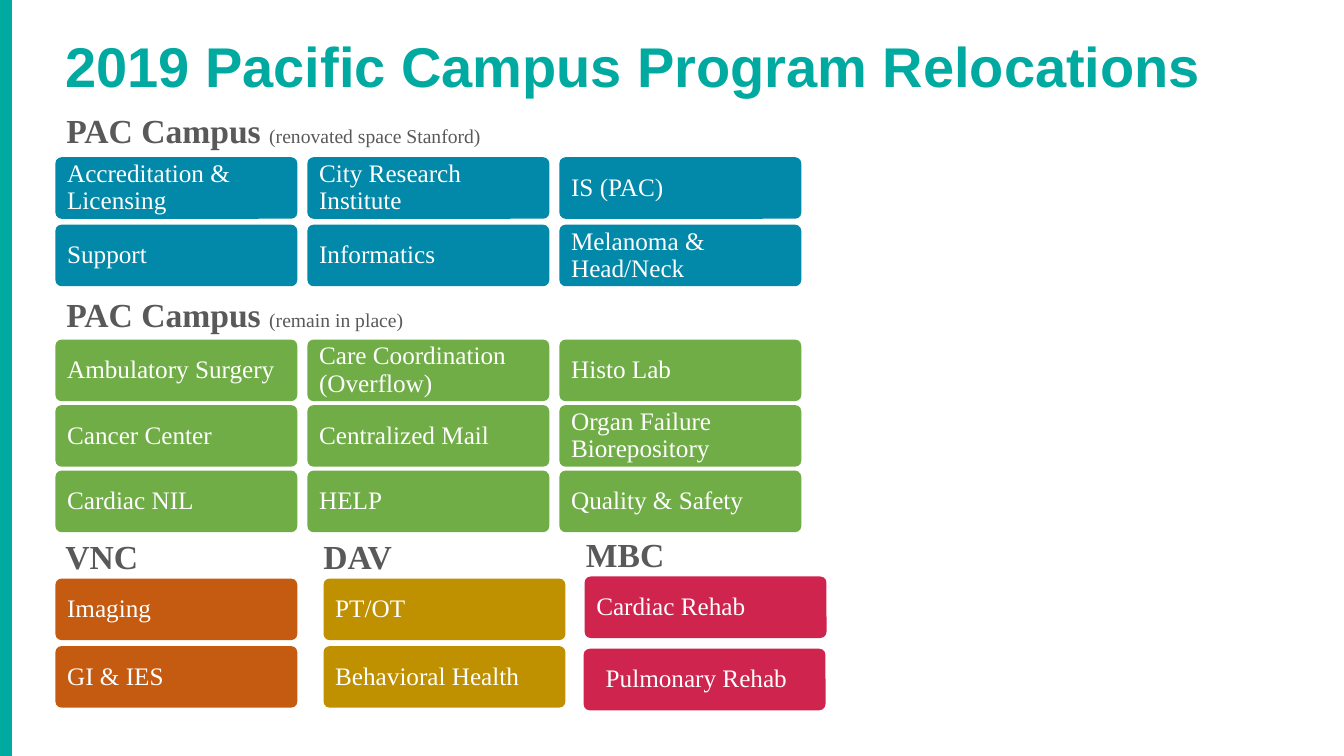
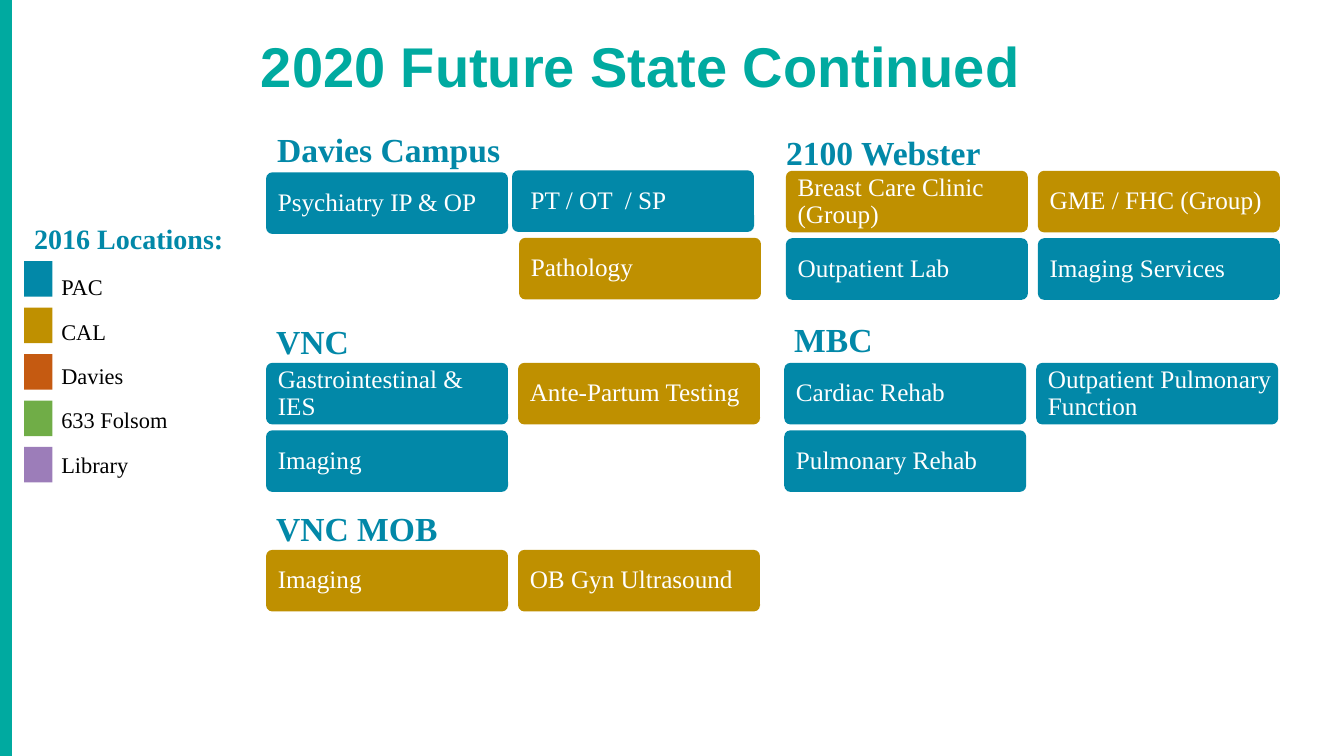
from pptx import Presentation
from pptx.dml.color import RGBColor
from pptx.enum.shapes import MSO_SHAPE
from pptx.enum.text import MSO_ANCHOR, PP_ALIGN
from pptx.util import Pt

RECT = MSO_SHAPE.RECTANGLE
ROUNDED = MSO_SHAPE.ROUNDED_RECTANGLE
TOP, MIDDLE, BOTTOM = MSO_ANCHOR.TOP, MSO_ANCHOR.MIDDLE, MSO_ANCHOR.BOTTOM
LEFT = PP_ALIGN.LEFT

COLORS = {
    "teal": "00AAA0", "blue": "0288A8", "gold": "BF9000", "orange": "C55A11",
    "green": "70AD47", "purple": "9C7DB9", "red": "CF244E",
    "gray": "595959", "black": "000000", "white": "FFFFFF",
}
SANS, SERIF = "Arial", "Times New Roman"
SLIDE_W, SLIDE_H = 960, 540
TILE_W, TILE_H = 172.8, 44
COLUMN_STEP, ROW_STEP = 180, 48.2


class Deck:
    """Holds the shared style and the slide being filled."""

    def __init__(self):
        self.prs = Presentation()
        self.prs.slide_width, self.prs.slide_height = Pt(SLIDE_W), Pt(SLIDE_H)
        self.slide = None

    def new_slide(self, title, left, width):
        self.slide = self.prs.slides.add_slide(self.prs.slide_layouts[6])
        self.block(RECT, 0, 0, 8.5, SLIDE_H, "teal")
        frame = self.text_box(left, 8.6, width, 66, BOTTOM)
        self.add_text(frame.paragraphs[0], title, 40, "teal", True, SANS, 0.9)

    def block(self, preset, x, y, width, height, color):
        shape = self.slide.shapes.add_shape(preset, Pt(x), Pt(y), Pt(width), Pt(height))
        shape.shadow.inherit = False
        shape.fill.solid()
        shape.fill.fore_color.rgb = RGBColor.from_string(COLORS[color])
        shape.line.fill.background()
        return shape

    def text_box(self, x, y, width, height, anchor=TOP):
        box = self.slide.shapes.add_textbox(Pt(x), Pt(y), Pt(width), Pt(height))
        frame = box.text_frame
        frame.word_wrap = True
        frame.vertical_anchor = anchor
        return frame

    def add_text(self, paragraph, text, size, color, bold=False, font=SERIF, spacing=1.0):
        paragraph.alignment = LEFT
        paragraph.line_spacing = spacing
        run = paragraph.add_run()
        run.text = text
        run.font.name, run.font.size, run.font.bold = font, Pt(size), bold
        run.font.color.rgb = RGBColor.from_string(COLORS[color])

    def heading(self, x, y, text, color, note=None, size=24, width=350):
        paragraph = self.text_box(x, y, width, 36).paragraphs[0]
        self.add_text(paragraph, text, size, color, True)
        if note:
            self.add_text(paragraph, note, 14, color)

    def tile(self, x, y, text, color, indent=7.2):
        shape = self.block(ROUNDED, x, y, TILE_W, TILE_H, color)
        shape.adjustments[0] = 0.1
        frame = shape.text_frame
        frame.word_wrap = True
        frame.vertical_anchor = MIDDLE
        frame.margin_left = Pt(indent)
        frame.margin_right = frame.margin_top = frame.margin_bottom = 0
        self.add_text(frame.paragraphs[0], text, 18, "white", spacing=0.9)

    def tile_grid(self, x, y, rows, color, row_step=ROW_STEP):
        """Draw rows of programs; a (name, color) pair overrides the grid color."""
        for r, row in enumerate(rows):
            for c, program in enumerate(row):
                name, fill = program if isinstance(program, tuple) else (program, color)
                self.tile(x + c * COLUMN_STEP, y + r * row_step, name, fill)

    def legend(self, x, y, entries):
        frame = self.text_box(x + 19.4, y - 7.2, 110, 167)
        for i, (name, color) in enumerate(entries):
            self.block(RECT, x, y + i * 33.2, 20.2, 25.4, color)
            paragraph = frame.paragraphs[0] if i == 0 else frame.add_paragraph()
            self.add_text(paragraph, name, 16, "black", spacing=1.65)


def relocations(deck):
    deck.new_slide("2019 Pacific Campus Program Relocations", 39.6, 828)

    deck.heading(40.3, 74.9, "PAC Campus ", "gray", "(renovated space Stanford)")
    deck.tile_grid(39.6, 112.3, [
        ["Accreditation & Licensing", "City Research Institute", "IS (PAC)"],
        ["Support", "Informatics", "Melanoma & Head/Neck"],
    ], "blue")

    deck.heading(40.3, 206.6, "PAC Campus ", "gray", "(remain in place)")
    deck.tile_grid(39.6, 242.6, [
        ["Ambulatory Surgery", "Care Coordination (Overflow)", "Histo Lab"],
        ["Cancer Center", "Centralized Mail", "Organ Failure Biorepository"],
        ["Cardiac NIL", "HELP", "Quality & Safety"],
    ], "green", row_step=46.8)

    deck.heading(39.6, 379.4, "VNC", "gray", width=166)
    deck.tile_grid(39.6, 413.3, [["Imaging"], ["GI & IES"]], "orange")
    deck.heading(223.9, 379.4, "DAV", "gray", width=166)
    deck.tile_grid(231.1, 413.3, [["PT/OT"], ["Behavioral Health"]], "gold")
    deck.heading(411.5, 378, "MBC", "gray", width=166)
    deck.tile(417.6, 411.8, "Cardiac Rehab", "red")
    deck.tile(416.9, 463.4, "Pulmonary Rehab", "red", indent=14.5)


def future_state(deck):
    deck.new_slide("2020 Future State Continued", 179.3, 590)

    deck.heading(17.3, 154.8, "2016 Locations:", "blue", size=20, width=153)
    deck.legend(17.3, 186.5, [
        ("PAC", "blue"), ("CAL", "gold"), ("Davies", "orange"),
        ("633 Folsom", "green"), ("Library", "purple"),
    ])

    deck.heading(190.8, 88.6, "Davies Campus", "blue")
    deck.tile(190.1, 123.1, "Psychiatry IP & OP", "blue")
    deck.tile(365.8, 121.7, "PT / OT  / SP", "blue", indent=12)
    deck.tile(370.8, 169.9, "Pathology", "gold")

    deck.heading(554.4, 90.7, "2100 Webster", "blue")
    deck.tile_grid(561.4, 122, [
        [("Breast Care Clinic (Group)", "gold"), ("GME / FHC (Group)", "gold")],
        ["Outpatient Lab", "Imaging Services"],
    ], "blue")

    deck.heading(190.1, 225.4, "VNC", "blue")
    deck.tile_grid(190.1, 259.2, [
        ["Gastrointestinal & IES", ("Ante-Partum Testing", "gold")],
        ["Imaging"],
    ], "blue")

    deck.heading(560.2, 224.6, "MBC", "blue")
    deck.tile_grid(560.2, 259.2, [
        ["Cardiac Rehab", "Outpatient Pulmonary Function"],
        ["Pulmonary Rehab"],
    ], "blue")

    deck.heading(190.1, 359.3, "VNC MOB", "blue")
    deck.tile_grid(190.1, 392.8, [["Imaging", "OB Gyn Ultrasound"]], "gold")


def main():
    deck = Deck()
    relocations(deck)
    future_state(deck)
    deck.prs.save("out.pptx")


if __name__ == "__main__":
    main()
